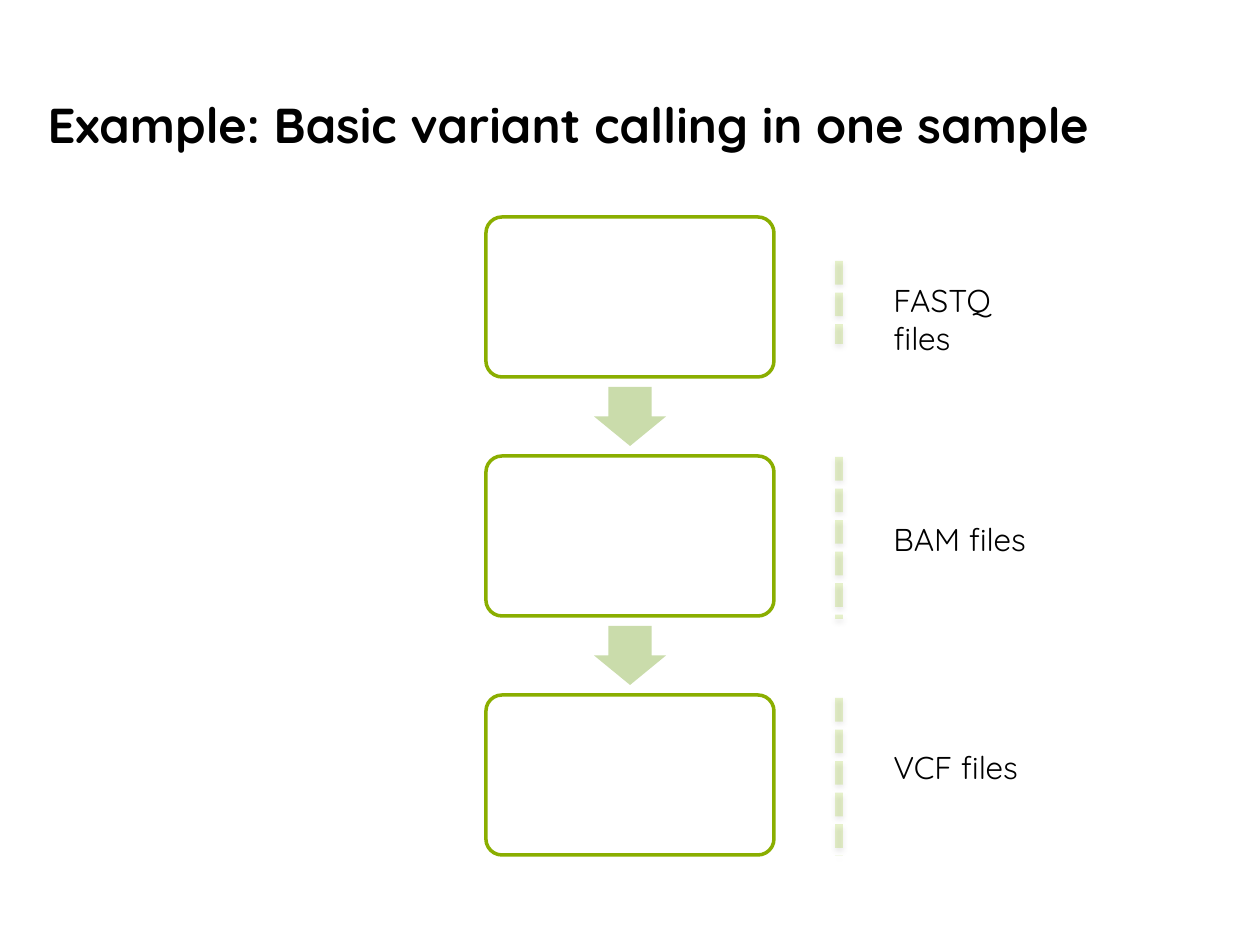
from lxml import etree
from pptx import Presentation
from pptx.dml.color import RGBColor
from pptx.enum.dml import MSO_LINE
from pptx.enum.shapes import MSO_CONNECTOR, MSO_SHAPE
from pptx.enum.text import MSO_ANCHOR, MSO_AUTO_SIZE, PP_ALIGN
from pptx.oxml import parse_xml
from pptx.oxml.ns import nsdecls, qn
from pptx.util import Emu, Pt

PX = 914400 / 126
FONT = "Quicksand"


def px(*values):
    return [Emu(round(v * PX)) for v in values]


def rgb(hex_code):
    return RGBColor.from_string(hex_code)


prs = Presentation()
prs.slide_width, prs.slide_height = px(1260, 945)
s = prs.slides.add_slide(prs.slide_layouts[5])

# Title
title = s.shapes.title
title.left, title.top, title.width, title.height = px(35, 88, 1115, 102)
tf = title.text_frame
tf.word_wrap = True
tf.auto_size = MSO_AUTO_SIZE.NONE
tf.vertical_anchor = MSO_ANCHOR.TOP
p = tf.paragraphs[0]
p.alignment = PP_ALIGN.LEFT
r = p.add_run()
r.text = "Example: Basic variant calling in one sample"
r.font.name, r.font.size, r.font.bold = FONT, Pt(28), True
r.font.color.rgb = rgb("000000")

# Column of step boxes with an arrow centred in each gap
BOX_X, BOX_Y, BOX_W, BOX_H, GAP = 486, 217, 288, 160, 79
ARROW_W, ARROW_H = 59, 72
STEPS = 3
for i in range(STEPS):
    top = BOX_Y + i * (BOX_H + GAP)
    box = s.shapes.add_shape(MSO_SHAPE.ROUNDED_RECTANGLE,
                             *px(BOX_X, top, BOX_W, BOX_H))
    box.adjustments[0] = 0.1
    box.shadow.inherit = False
    box.fill.solid()
    box.fill.fore_color.rgb = rgb("FFFFFF")
    box.line.color.rgb = rgb("8AAE00")
    box.line.width = Pt(2)

    if i < STEPS - 1:
        center_x = BOX_X + BOX_W / 2
        center_y = top + BOX_H + GAP / 2
        arrow = s.shapes.add_shape(
            MSO_SHAPE.RIGHT_ARROW,
            *px(center_x - ARROW_W / 2, center_y - ARROW_H / 2, ARROW_W, ARROW_H))
        arrow.rotation = 90
        arrow.adjustments[0] = 0.6
        arrow.adjustments[1] = 0.5
        arrow.shadow.inherit = False
        arrow.fill.solid()
        arrow.fill.fore_color.rgb = rgb("CADCAB")
        arrow.line.fill.background()

# File types: dashed line (start, end) and label (top, width)
SHADOW = (f'<a:effectLst {nsdecls("a")}>'
          '<a:outerShdw blurRad="39370" dist="20320" dir="5400000" rotWithShape="0">'
          '<a:srgbClr val="000000"><a:alpha val="38000"/></a:srgbClr>'
          '</a:outerShdw></a:effectLst>')
FILES = [
    ("FASTQ files", 261, 344, 275, 184),
    ("BAM files", 457, 619, 514, 161),
    ("VCF files", 698, 856, 742, 154),
]
for name, start, end, top, width in FILES:
    line = s.shapes.add_connector(MSO_CONNECTOR.STRAIGHT,
                                  *px(839, start, 839, end))
    line.line.color.rgb = rgb("89C000")
    line.line.width = Pt(4.5)
    line.line.dash_style = MSO_LINE.SQUARE_DOT
    line.line._ln.find(qn("a:prstDash")).set("val", "sysDash")
    color = line.line._ln.find(".//" + qn("a:srgbClr"))
    etree.SubElement(color, qn("a:alpha")).set("val", "20000")
    line._element.spPr.append(parse_xml(SHADOW))

    label = s.shapes.add_textbox(*px(881, top, width, 50))
    tf = label.text_frame
    tf.word_wrap = True
    tf.auto_size = MSO_AUTO_SIZE.SHAPE_TO_FIT_TEXT
    r = tf.paragraphs[0].add_run()
    r.text = name
    r.font.name, r.font.size = FONT, Pt(18)
    r.font.color.rgb = rgb("000000")

prs.save("out.pptx")
